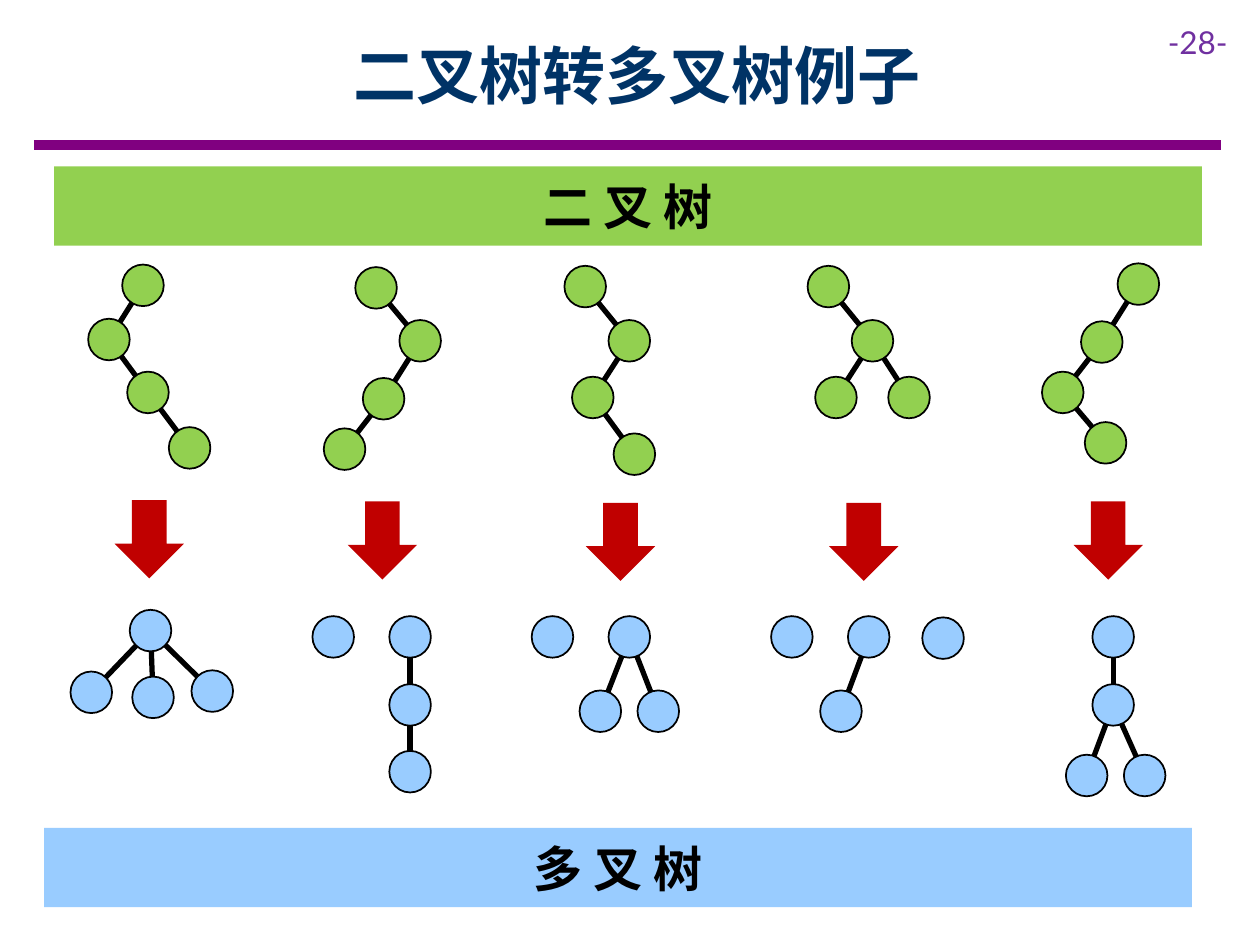
from lxml import etree
from pptx import Presentation
from pptx.dml.color import RGBColor
from pptx.enum.shapes import MSO_CONNECTOR, MSO_SHAPE
from pptx.enum.text import MSO_ANCHOR, PP_ALIGN
from pptx.oxml.ns import qn
from pptx.util import Inches, Pt

STRAIGHT = MSO_CONNECTOR.STRAIGHT
OVAL, RECTANGLE, DOWN_ARROW = MSO_SHAPE.OVAL, MSO_SHAPE.RECTANGLE, MSO_SHAPE.DOWN_ARROW
MIDDLE, TOP = MSO_ANCHOR.MIDDLE, MSO_ANCHOR.TOP
CENTER, LEFT = PP_ALIGN.CENTER, PP_ALIGN.LEFT

THEME = {
    "binary": "92D050", "multiway": "99CCFF", "arrow": "C00000",
    "ink": "000000", "title": "003366", "rule": "800080", "number": "7030A0",
    "cjk_font": "Noto Sans CJK SC", "latin_font": "Lato",
    "title_size": 36, "banner_size": 28, "number_size": 18,
    "edge_width": 3, "outline_width": 1, "rule_width": 6,
}

TITLE = "二叉树转多叉树例子"
PAGE_NUMBER = "-28-"
BANNERS = [("二 叉 树", "binary", 0.43, 1.32), ("多 叉 树", "multiway", 0.35, 6.57)]
BANNER_SIZE = (9.11, 0.63)
ARROW_SIZE = (0.55, 0.62)
NODE = 0.33

# Each node is (left, top, index of its parent); a root has parent None.
EXAMPLES = [
    {"binary": [(0.97, 2.1, None), (0.7, 2.53, 0), (1.01, 2.95, 1), (1.34, 3.39, 2)],
     "arrow": (0.91, 3.97),
     "multiway": [(1.03, 4.84, None), (0.56, 5.33, 0), (1.05, 5.37, 0), (1.52, 5.32, 0)]},
    {"binary": [(2.82, 2.12, None), (3.17, 2.54, 0), (2.88, 3, 1), (2.57, 3.4, 2)],
     "arrow": (2.76, 3.98),
     "multiway": [(2.48, 4.89, None), (3.09, 4.89, None), (3.09, 5.43, 1), (3.09, 5.96, 2)]},
    {"binary": [(4.48, 2.11, None), (4.83, 2.54, 0), (4.54, 2.99, 1), (4.87, 3.44, 2)],
     "arrow": (4.65, 3.99),
     "multiway": [(4.22, 4.89, None), (4.83, 4.89, None), (4.6, 5.48, 1), (5.06, 5.48, 1)]},
    {"binary": [(6.41, 2.11, None), (6.76, 2.54, 0), (6.47, 2.99, 1), (7.05, 2.99, 1)],
     "arrow": (6.58, 3.99),
     "multiway": [(6.12, 4.89, None), (6.73, 4.89, None), (6.51, 5.48, 1), (7.32, 4.9, None)]},
    {"binary": [(8.87, 2.09, None), (8.58, 2.55, 0), (8.27, 2.95, 1), (8.61, 3.35, 2)],
     "arrow": (8.52, 3.98),
     "multiway": [(8.67, 4.89, None), (8.67, 5.43, 0), (8.46, 5.99, 1), (8.92, 5.99, 1)]},
]


def color(name):
    return RGBColor.from_string(THEME[name])


def add_line(page, start, end, color_name, width):
    line = page.shapes.add_connector(STRAIGHT, *map(Inches, (*start, *end)))
    line.line.color.rgb = color(color_name)
    line.line.width = Pt(width)
    etree.SubElement(line._element.spPr, qn("a:effectLst"))


def add_shape(page, kind, box, fill, outlined=False):
    shape = page.shapes.add_shape(kind, *map(Inches, box))
    shape.shadow.inherit = False
    shape.fill.solid()
    shape.fill.fore_color.rgb = color(fill)
    if outlined:
        shape.line.color.rgb = color("ink")
        shape.line.width = Pt(THEME["outline_width"])
    else:
        shape.line.fill.background()
    return shape


def write(shape, text, size, color_name, font, bold=False, align=CENTER, anchor=MIDDLE):
    frame = shape.text_frame
    frame.word_wrap = True
    frame.vertical_anchor = anchor
    para = frame.paragraphs[0]
    para.text = text
    para.alignment = align
    para.font.size = Pt(THEME[size])
    para.font.bold = bold
    para.font.color.rgb = color(color_name)
    para.font.name = THEME[font]
    # East Asian characters take their typeface from a separate element.
    defaults = para._p.pPr.find(qn("a:defRPr"))
    etree.SubElement(defaults, qn("a:ea"), typeface=THEME[font])


def add_tree(page, nodes, fill):
    """Draw the edges between node centres first, so the nodes cover their ends."""
    centres = [(left + NODE / 2, top + NODE / 2) for left, top, _ in nodes]
    for centre, (_, _, parent) in zip(centres, nodes):
        if parent is not None:
            add_line(page, centres[parent], centre, "ink", THEME["edge_width"])
    for left, top, _ in nodes:
        add_shape(page, OVAL, (left, top, NODE, NODE), fill, outlined=True)


def main():
    deck = Presentation()
    deck.slide_width, deck.slide_height = Inches(10), Inches(7.5)
    page = deck.slides.add_slide(deck.slide_layouts[6])

    add_line(page, (0.27, 1.15), (9.69, 1.15), "rule", THEME["rule_width"])
    number = page.shapes.add_textbox(*map(Inches, (9.17, 0.13, 0.83, 0.4)))
    write(number, PAGE_NUMBER, "number_size", "number", "latin_font", align=LEFT, anchor=TOP)
    title = page.shapes.add_textbox(*map(Inches, (0.9, 0.09, 8.31, 1)))
    write(title, TITLE, "title_size", "title", "cjk_font", bold=True)

    for text, fill, left, top in BANNERS:
        banner = add_shape(page, RECTANGLE, (left, top, *BANNER_SIZE), fill)
        write(banner, text, "banner_size", "ink", "cjk_font", bold=True)

    for example in EXAMPLES:
        add_tree(page, example["binary"], "binary")
        add_shape(page, DOWN_ARROW, (*example["arrow"], *ARROW_SIZE), "arrow")
        add_tree(page, example["multiway"], "multiway")

    deck.save("out.pptx")


if __name__ == "__main__":
    main()
